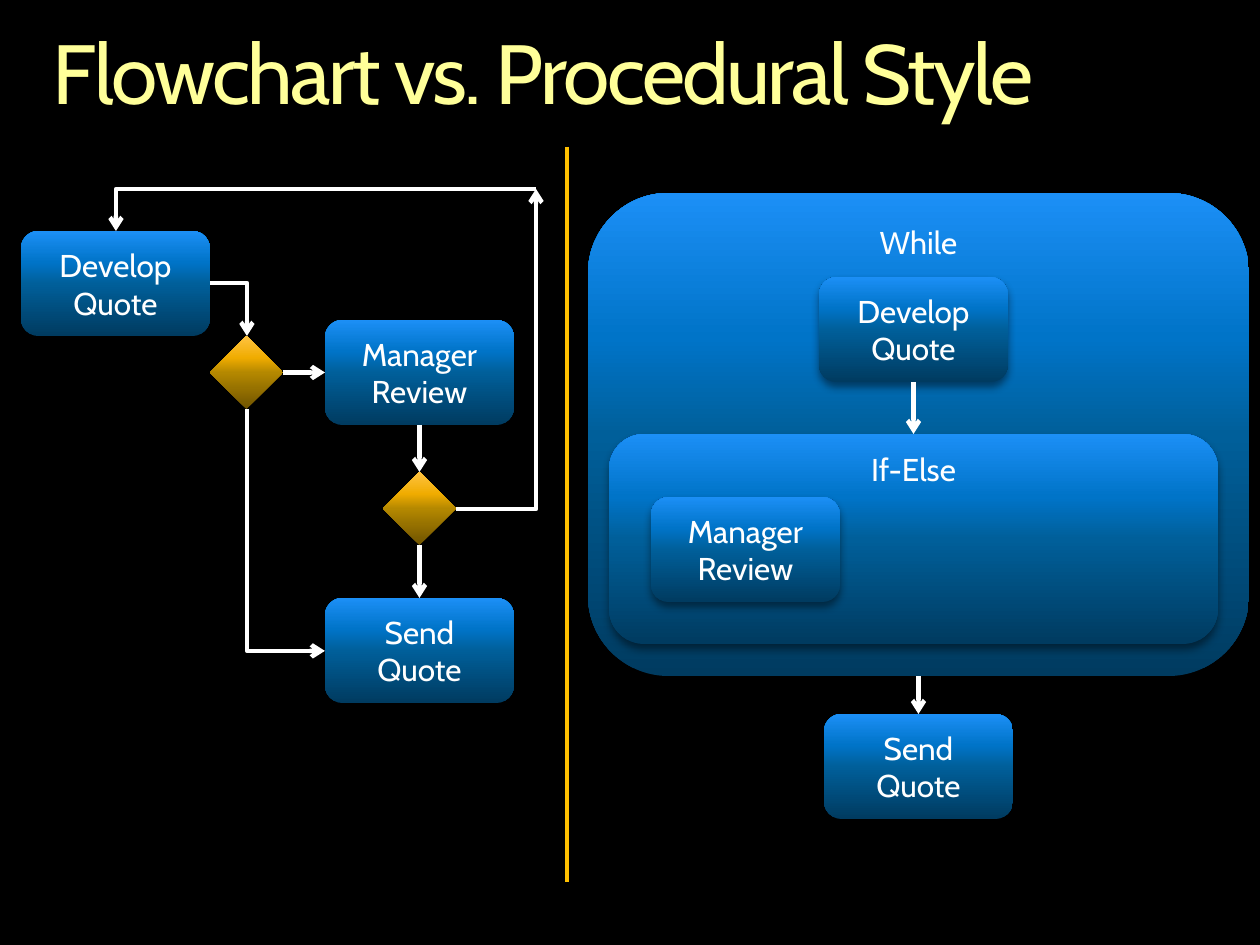
from lxml.etree import SubElement
from pptx import Presentation
from pptx.dml.color import RGBColor
from pptx.enum.shapes import MSO_CONNECTOR, MSO_SHAPE
from pptx.enum.text import MSO_ANCHOR, MSO_AUTO_SIZE, PP_ALIGN
from pptx.oxml.ns import qn
from pptx.util import Emu, Pt

FONT = "Cabin"
WHITE = "FFFFFF"
BLUES = ((0, "003B60"), (50, "005F9A"), (70, "0074C8"), (100, "1C8FF6"))
GOLDS = ((0, "705400"), (50, "B48800"), (70, "F0AC00"), (100, "FFC342"))
STEP_WIDTH, STEP_HEIGHT, DECISION_SIZE = 189, 105, 73
TOP, LEFT, BOTTOM, RIGHT = range(4)


def px(length):
    """Turn pixels at 126 to the inch into EMU."""
    return Emu(round(length * 914400 / 126))


def colour(code):
    """Turn a hex string into a colour."""
    return RGBColor.from_string(code)


def add_stop_colour(parent, code):
    """Append a hex colour element and return it."""
    return SubElement(parent, qn("a:srgbClr"), val=code)


def paint(shape, stops):
    """Fill a shape with an upward gradient and give it a soft drop shadow."""
    shape.fill.gradient()
    shape.fill.gradient_angle = 90
    shape.line.fill.background()
    properties = shape.element.spPr
    stop_list = properties.find(".//" + qn("a:gsLst"))
    for old_stop in list(stop_list):
        stop_list.remove(old_stop)
    for percent, code in stops:
        stop = SubElement(stop_list, qn("a:gs"), pos=str(percent * 1000))
        add_stop_colour(stop, code)
    shape.shadow.inherit = False
    shadow = SubElement(properties.find(qn("a:effectLst")), qn("a:outerShdw"),
                        blurRad=str(Pt(5)), dist=str(Pt(3)), dir="5400000", rotWithShape="0")
    SubElement(add_stop_colour(shadow, "000000"), qn("a:alpha"), val="45000")


def add_block(page, text, left, top, width=STEP_WIDTH, height=STEP_HEIGHT, anchor=MSO_ANCHOR.MIDDLE):
    """Add a rounded blue block with centred text."""
    box = page.shapes.add_shape(MSO_SHAPE.ROUNDED_RECTANGLE, px(left), px(top), px(width), px(height))
    paint(box, BLUES)
    frame = box.text_frame
    frame.text = text
    frame.word_wrap = True
    frame.vertical_anchor = anchor
    for para in frame.paragraphs:
        para.alignment = PP_ALIGN.CENTER
        for span in para.runs:
            span.font.name = FONT
            span.font.size = Pt(18)
            span.font.color.rgb = colour(WHITE)
    return box


def add_decision(page, left, top):
    """Add a golden decision diamond."""
    diamond = page.shapes.add_shape(MSO_SHAPE.DIAMOND, px(left), px(top), px(DECISION_SIZE), px(DECISION_SIZE))
    paint(diamond, GOLDS)
    return diamond


def add_line(page, kind, start, end, code, weight):
    """Add a plain connector between two points."""
    line = page.shapes.add_connector(kind, *map(px, start + end))
    line.line.color.rgb = colour(code)
    line.line.width = Pt(weight)
    SubElement(line.element.spPr, qn("a:effectLst"))
    return line


def add_arrow(page, source, source_side, target, target_side):
    """Join two shapes with a straight arrow."""
    arrow = add_line(page, MSO_CONNECTOR.STRAIGHT, (0, 0), (0, 0), WHITE, 2.5)
    arrow.begin_connect(source, source_side)
    arrow.end_connect(target, target_side)
    SubElement(arrow.line._get_or_add_ln(), qn("a:tailEnd"), type="arrow")


def add_elbow(page, start, end, arrow_end="tailEnd"):
    """Add an arrow that runs across from start, then turns once to end."""
    elbow = add_line(page, MSO_CONNECTOR.ELBOW, start, end, WHITE, 2.5)
    elbow.element.spPr.find(qn("a:prstGeom")).set("prst", "bentConnector2")
    SubElement(elbow.line._get_or_add_ln(), qn("a:" + arrow_end), type="arrow")


def add_title(page, text):
    """Place and format the slide title."""
    title = page.shapes.title
    title.left, title.top, title.width, title.height = map(px, (53, 32, 1155, 92))
    frame = title.text_frame
    frame.text = text
    frame.word_wrap = True
    frame.auto_size = MSO_AUTO_SIZE.NONE
    frame.vertical_anchor = MSO_ANCHOR.TOP
    frame.margin_left = frame.margin_top = frame.margin_right = frame.margin_bottom = 0
    para = frame.paragraphs[0]
    para.alignment = PP_ALIGN.LEFT
    para.line_spacing = 0.9
    span = para.runs[0]
    span.font.name = FONT
    span.font.size = Pt(48)
    span.font.color.rgb = colour("FFFF99")
    span.font._element.set("spc", "-150")


def add_flowchart(page):
    """Draw the flowchart style on the left half."""
    add_block(page, "Develop\nQuote", 21, 231)
    review = add_block(page, "Manager\nReview", 325, 320)
    send = add_block(page, "Send\nQuote", 325, 598)
    need_review = add_decision(page, 210, 336)
    approved = add_decision(page, 383, 472)
    add_arrow(page, need_review, RIGHT, review, LEFT)
    add_arrow(page, review, BOTTOM, approved, TOP)
    add_arrow(page, approved, BOTTOM, send, TOP)
    add_elbow(page, (210, 283), (247, 336))
    add_elbow(page, (325, 651), (247, 409), "headEnd")
    add_elbow(page, (456, 509), (536, 189))
    add_elbow(page, (536, 189), (116, 231))


def add_procedure(page):
    """Draw the procedural style on the right half."""
    loop = add_block(page, "While", 588, 193, 661, 483, MSO_ANCHOR.TOP)
    branch = add_block(page, "If-Else", 609, 434, 609, 210, MSO_ANCHOR.TOP)
    develop = add_block(page, "Develop\nQuote", 819, 277)
    add_block(page, "Manager\nReview", 651, 497)
    send = add_block(page, "Send\nQuote", 824, 714)
    add_arrow(page, develop, BOTTOM, branch, TOP)
    add_arrow(page, loop, BOTTOM, send, TOP)


def main():
    """Build and save the deck."""
    deck = Presentation()
    deck.slide_width, deck.slide_height = px(1260), px(945)
    page = deck.slides.add_slide(deck.slide_layouts[5])
    page.background.fill.solid()
    page.background.fill.fore_color.rgb = colour("000000")
    add_title(page, "Flowchart vs. Procedural Style")
    add_procedure(page)
    add_flowchart(page)
    add_line(page, MSO_CONNECTOR.STRAIGHT, (567, 147), (567, 882), "FFC000", 2)
    deck.save("out.pptx")


if __name__ == "__main__":
    main()
